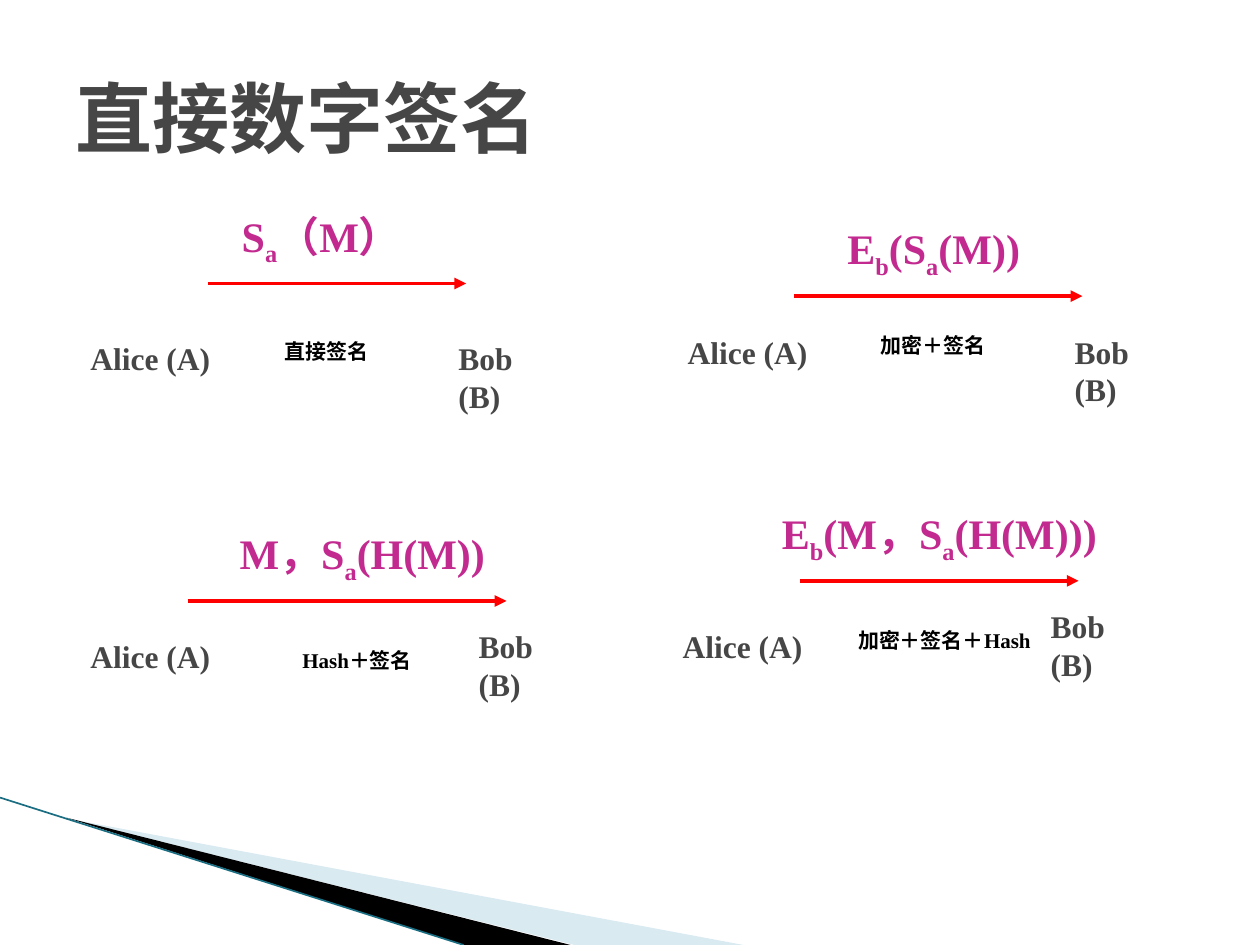
from dataclasses import dataclass

from lxml.etree import SubElement
from pptx import Presentation
from pptx.dml.color import RGBColor
from pptx.enum.shapes import MSO_CONNECTOR as Connector
from pptx.enum.text import MSO_ANCHOR as Anchor, PP_ALIGN as Align
from pptx.oxml.ns import qn
from pptx.util import Inches, Pt


@dataclass(frozen=True)
class Theme:
    font: str = "Times New Roman"
    ink: str = "464646"
    formula: str = "C22A8F"
    arrow: str = "FF0000"
    black: str = "000000"
    pale: str = "D9EAF1"
    edge: str = "1B6E82"
    title_size: int = 44
    formula_size: int = 24
    name_size: int = 18
    caption_size: int = 12


class SlideBuilder:
    """Places elements on a grid of 100 columns by 75 rows."""

    def __init__(self, deck, theme):
        self.theme = theme
        self.page = deck.slides.add_slide(deck.slide_layouts[6])
        self.column = deck.slide_width / 100
        self.row = deck.slide_height / 75

    def x(self, columns):
        return round(columns * self.column)

    def y(self, rows):
        return round(rows * self.row)

    def text(self, words, left, top, width, height, size, color,
             align=Align.LEFT, anchor=Anchor.TOP):
        """Write bold text; pieces between underscores become subscripts."""
        box = self.page.shapes.add_textbox(
            self.x(left), self.y(top), self.x(width), self.y(height))
        frame = box.text_frame
        frame.word_wrap = True
        frame.vertical_anchor = anchor
        para = frame.paragraphs[0]
        para.alignment = align
        for index, piece in enumerate(words.split("_")):
            span = para.add_run()
            span.text = piece
            span.font.name = self.theme.font
            span.font.size = Pt(size)
            span.font.bold = True
            span.font.color.rgb = RGBColor.from_string(color)
            if index % 2:
                span._r.get_or_add_rPr().set("baseline", "-25000")

    def line(self, start, end, color, width, arrow=False):
        line = self.page.shapes.add_connector(
            Connector.STRAIGHT, self.x(start[0]), self.y(start[1]),
            self.x(end[0]), self.y(end[1]))
        line.line.color.rgb = RGBColor.from_string(color)
        line.line.width = Pt(width)
        if arrow:
            SubElement(line.line._get_or_add_ln(), qn("a:tailEnd"), type="triangle")
        SubElement(line._element.spPr, qn("a:effectLst"))

    def polygon(self, points, color):
        corners = [(self.x(x), self.y(y)) for x, y in points]
        outline = self.page.shapes.build_freeform(*corners[0])
        outline.add_line_segments(corners[1:], close=True)
        shape = outline.convert_to_shape()
        shape.shadow.inherit = False
        shape.fill.solid()
        shape.fill.fore_color.rgb = RGBColor.from_string(color)
        shape.line.fill.background()

    def exchange(self, arrow, formula, alice, bob, caption):
        """Draw one message from Alice to Bob with its formula and caption."""
        theme = self.theme
        start, end, level = arrow
        self.line((start, level), (end, level), theme.arrow, 2.25, arrow=True)
        words, left, width = formula
        self.text(words, left, level - 6.3, width, 5,
                  theme.formula_size, theme.formula, Align.CENTER)
        for name, place, width in (("Alice (A)", alice, 12.6), ("Bob (B)", bob, 10.2)):
            self.text(name, *place, width, 4, theme.name_size, theme.ink)
        words, left, top, width = caption
        self.text(words, left, top, width, 3,
                  theme.caption_size, theme.black, Align.CENTER)


# Each row: arrow, formula, Alice, Bob, caption
EXCHANGES = [
    ((16.5, 37, 22.5), ("S_a_（M）", 14.9, 21.2),
     (6.2, 26.4), (35.4, 26.4), ("直接签名", 18.1, 26.4, 15.7)),
    ((63, 85.9, 23.5), ("E_b_(S_a_(M))", 61.5, 25.2),
     (53.6, 25.9), (84.3, 25.9), ("加密＋签名", 66.2, 25.9, 15.7)),
    ((14.9, 40.2, 47.7), ("M，S_a_(H(M))", 14.2, 29.1),
     (6.2, 50.1), (37, 49.3), ("Hash＋签名", 20.5, 50.9, 15.7)),
    ((63.5, 85.6, 46.1), ("E_b_(M，S_a_(H(M)))", 58.8, 31.5),
     (53.2, 49.3), (82.4, 47.7), ("加密＋签名＋Hash", 65.9, 49.3, 18.1)),
]


def main():
    deck = Presentation()
    deck.slide_width, deck.slide_height = Inches(10), Inches(7.5)
    theme = Theme()
    slide = SlideBuilder(deck, theme)

    # Corner decoration
    slide.polygon([(5.5, 65), (59, 75), (45.6, 75)], theme.pale)
    slide.polygon([(5.3, 64.9), (45.3, 75), (36.8, 75)], theme.black)
    slide.line((0, 63.3), (36.8, 75), theme.edge, 0.95)

    # Title
    slide.text("直接数字签名", 5, 3, 90, 12.5, theme.title_size, theme.ink,
               anchor=Anchor.MIDDLE)

    # Four signature schemes
    for scheme in EXCHANGES:
        slide.exchange(*scheme)

    deck.save("out.pptx")


if __name__ == "__main__":
    main()
